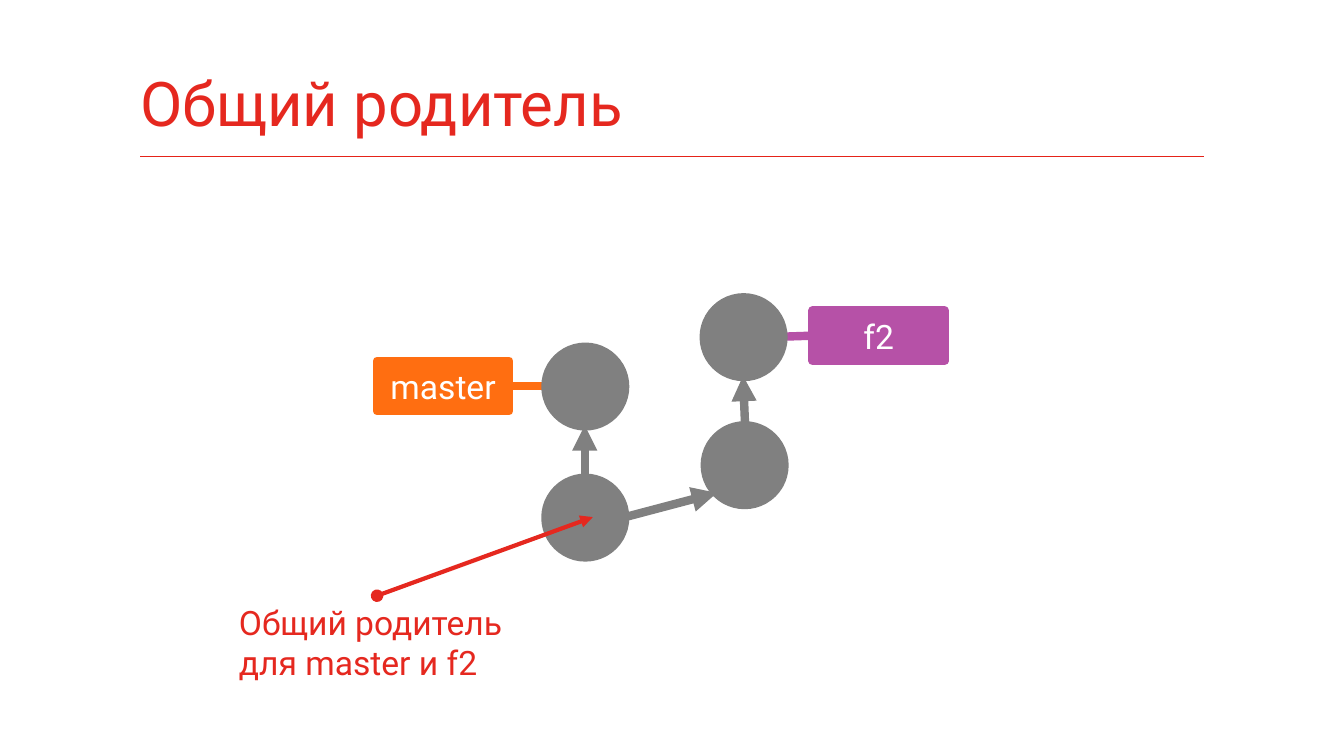
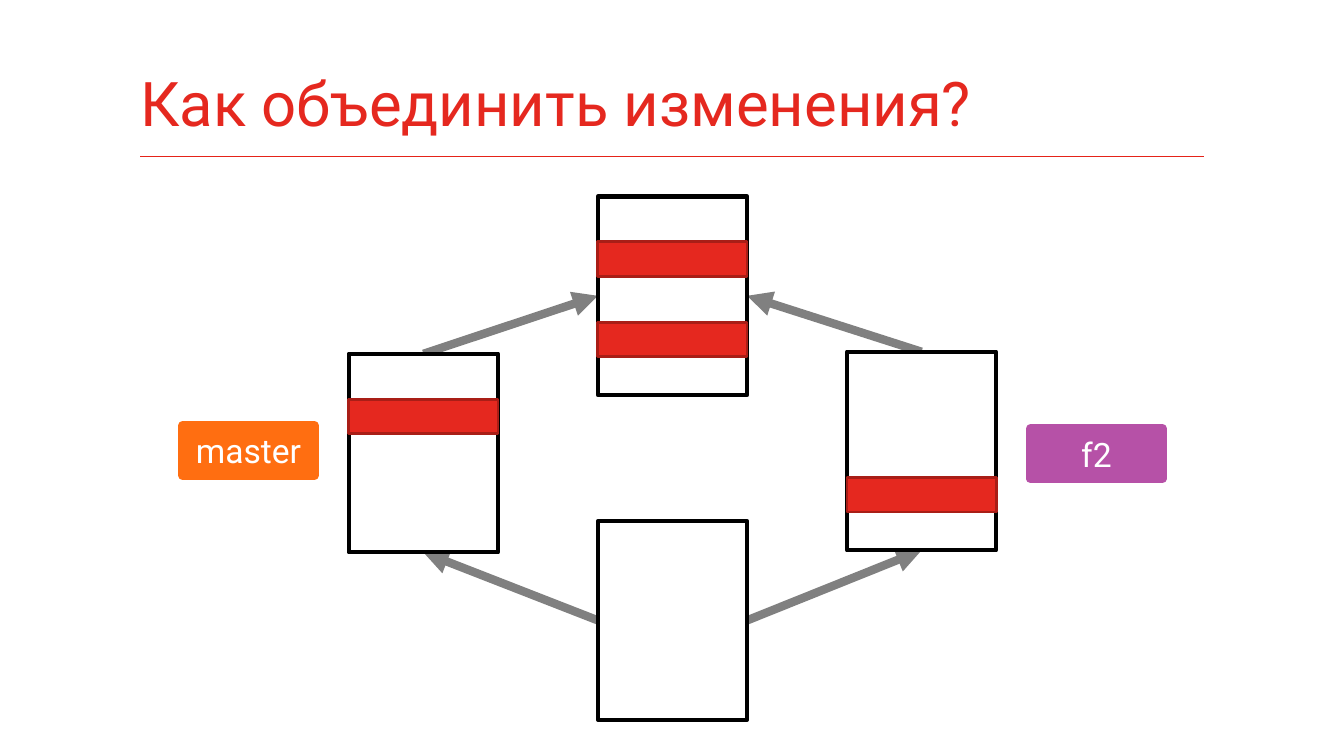
import pptx
import pptx.util
import pptx.dml.color
import pptx.enum.shapes
import pptx.enum.text
import pptx.oxml
import pptx.oxml.ns
from pptx.util import Inches

FONT = "Roboto"
RED, RULE, DARK = "E5281F", "E52319", "A91E17"
GRAY, WHITE, BLACK = "808080", "FFFFFF", "000000"
ORANGE, PURPLE = "FF6E11", "B651A7"

DOT = 0.79
TAG_W, TAG_H = 1.31, 0.5
PAGE_W, PAGE_H = 1.48, 1.97
BAND_H = 0.34
UPPER, LOWER = 0.45, 1.25   # band offsets from the top of a page

TOP, LEFT, BOTTOM, RIGHT = range(4)
KINDS = pptx.enum.shapes.MSO_SHAPE
ANCHOR = pptx.enum.text.MSO_ANCHOR
ALIGN = pptx.enum.text.PP_ALIGN


def color(code):
    return pptx.dml.color.RGBColor.from_string(code)


# Text

def write(par, text, size, code):
    run = par.add_run()
    run.text = text
    run.font.name = FONT
    run.font.size = pptx.util.Pt(size)
    run.font.color.rgb = color(code)


def inset(frame, left, top, right, bottom):
    frame.margin_left, frame.margin_top = Inches(left), Inches(top)
    frame.margin_right, frame.margin_bottom = Inches(right), Inches(bottom)


def set_title(slide, text):
    title = slide.shapes.title
    title.left, title.top = Inches(1.39), Inches(0.36)
    title.width, title.height = Inches(10.55), Inches(1.18)
    frame = title.text_frame
    frame.auto_size = pptx.enum.text.MSO_AUTO_SIZE.NONE
    frame.vertical_anchor = ANCHOR.BOTTOM
    inset(frame, 0, 0.05, 0, 0.16)
    par = frame.paragraphs[0]
    par.alignment = ALIGN.LEFT
    write(par, text, 44, RED)


def add_note(slide, x, y, w, h, lines):
    box = slide.shapes.add_textbox(Inches(x), Inches(y), Inches(w), Inches(h))
    frame = box.text_frame
    frame.word_wrap = False
    frame.vertical_anchor = ANCHOR.BOTTOM
    inset(frame, 0, 0.05, 0.1, 0.05)
    par = frame.paragraphs[0]
    for i, line in enumerate(lines):
        if i:
            par.add_line_break()
        write(par, line, 24, RED)


# Shapes

def add_shape(slide, kind, x, y, w, h, fill, edge, width):
    shape = slide.shapes.add_shape(kind, Inches(x), Inches(y), Inches(w), Inches(h))
    shape.shadow.inherit = False
    shape.fill.solid()
    shape.fill.fore_color.rgb = color(fill)
    shape.line.color.rgb = color(edge)
    shape.line.width = pptx.util.Pt(width)
    return shape


def add_dot(slide, x, y):
    return add_shape(slide, KINDS.OVAL, x, y, DOT, DOT, GRAY, GRAY, 6)


def add_tag(slide, x, y, text, code):
    tag = add_shape(slide, KINDS.RECTANGLE, x, y, TAG_W, TAG_H, code, code, 6)
    tag.text_frame.vertical_anchor = ANCHOR.MIDDLE
    par = tag.text_frame.paragraphs[0]
    par.alignment = ALIGN.CENTER
    write(par, text, 24, WHITE)
    return tag


def add_page(slide, x, y, bands=()):
    page = add_shape(slide, KINDS.RECTANGLE, x, y, PAGE_W, PAGE_H, WHITE, BLACK, 3)
    for off in bands:
        add_shape(slide, KINDS.RECTANGLE, x, y + off, PAGE_W, BAND_H, RED, DARK, 2)
    return page


# Lines: an end is a point (x, y) or a pair (shape, side)

def add_line(slide, start, end, code, width, head=None, tail=None):
    line = slide.shapes.add_connector(pptx.enum.shapes.MSO_CONNECTOR.STRAIGHT, 0, 0, 0, 0)
    if hasattr(start[0], "shape_id"):
        line.begin_connect(*start)
    else:
        line.begin_x, line.begin_y = map(Inches, start)
    if hasattr(end[0], "shape_id"):
        line.end_connect(*end)
    else:
        line.end_x, line.end_y = map(Inches, end)
    line.line.color.rgb = color(code)
    line.line.width = pptx.util.Pt(width)
    edge = line.line._get_or_add_ln()
    for name, mark in (("a:headEnd", head), ("a:tailEnd", tail)):
        if mark:
            edge.append(pptx.oxml.parse_xml(
                f'<{name} {pptx.oxml.ns.nsdecls("a")} type="{mark}"/>'))
    line.element.spPr.append(pptx.oxml.parse_xml(
        f'<a:effectLst {pptx.oxml.ns.nsdecls("a")}/>'))
    return line


def add_link(slide, start, end, code=GRAY, tail="triangle"):
    """Thick line placed behind the other shapes."""
    line = add_line(slide, start, end, code, 6, tail=tail)
    slide.shapes.element.insert(2, line.element)


# Slides

def add_slide(deck, title):
    slide = deck.slides.add_slide(deck.slide_layouts[5])
    set_title(slide, title)
    return slide


def add_rule(slide):
    """Put the rule under the title on the shared layout."""
    rule = add_line(slide, (1.39, 1.55), (11.94, 1.55), RULE, 0.75)
    slide.slide_layout.shapes.element.append(rule.element)


def draw_tree(slide):
    # Commits
    add_dot(slide, 5.41, 4.74)
    add_dot(slide, 5.41, 3.44)
    add_dot(slide, 6.99, 4.22)
    add_dot(slide, 6.98, 2.95)
    add_link(slide, (5.8, 4.74), (5.8, 4.22))
    add_link(slide, (6.2, 5.13), (7.11, 4.89))
    add_link(slide, (7.39, 4.22), (7.37, 3.73))

    # Branches
    main_tag = add_tag(slide, 3.74, 3.58, "master", ORANGE)
    side_tag = add_tag(slide, 8.06, 3.08, "f2", PURPLE)
    add_link(slide, (5.41, 3.83), (main_tag, RIGHT), ORANGE, None)
    add_link(slide, (side_tag, LEFT), (7.77, 3.34), PURPLE, None)

    # Pointer to the parent
    add_note(slide, 2.37, 5.91, 2.74, 0.91, ("Общий родитель", "для master и f2"))
    add_line(slide, (3.74, 5.91), (5.88, 5.13), RED, 3, "oval", "triangle")


def draw_merge(slide):
    # Versions of the file
    mid, step = 5.93, 2.47
    result = add_page(slide, mid, 1.95, (UPPER, LOWER))
    ours = add_page(slide, mid - step, 3.51, (UPPER,))
    theirs = add_page(slide, mid + step, 3.49, (LOWER,))
    base = add_page(slide, mid, 5.17)
    for page, side in ((ours, LEFT), (theirs, RIGHT)):
        add_link(slide, (base, side), (page, BOTTOM))
        add_link(slide, (page, TOP), (result, side))

    # Branches
    add_tag(slide, 1.81, 4.22, "master", ORANGE)
    add_tag(slide, 10.22, 4.25, "f2", PURPLE)


def main():
    deck = pptx.Presentation()
    deck.slide_width, deck.slide_height = Inches(13.33), Inches(7.5)
    tree = add_slide(deck, "Общий родитель")
    add_rule(tree)
    draw_tree(tree)
    draw_merge(add_slide(deck, "Как объединить изменения?"))
    deck.save("out.pptx")


if __name__ == "__main__":
    main()
